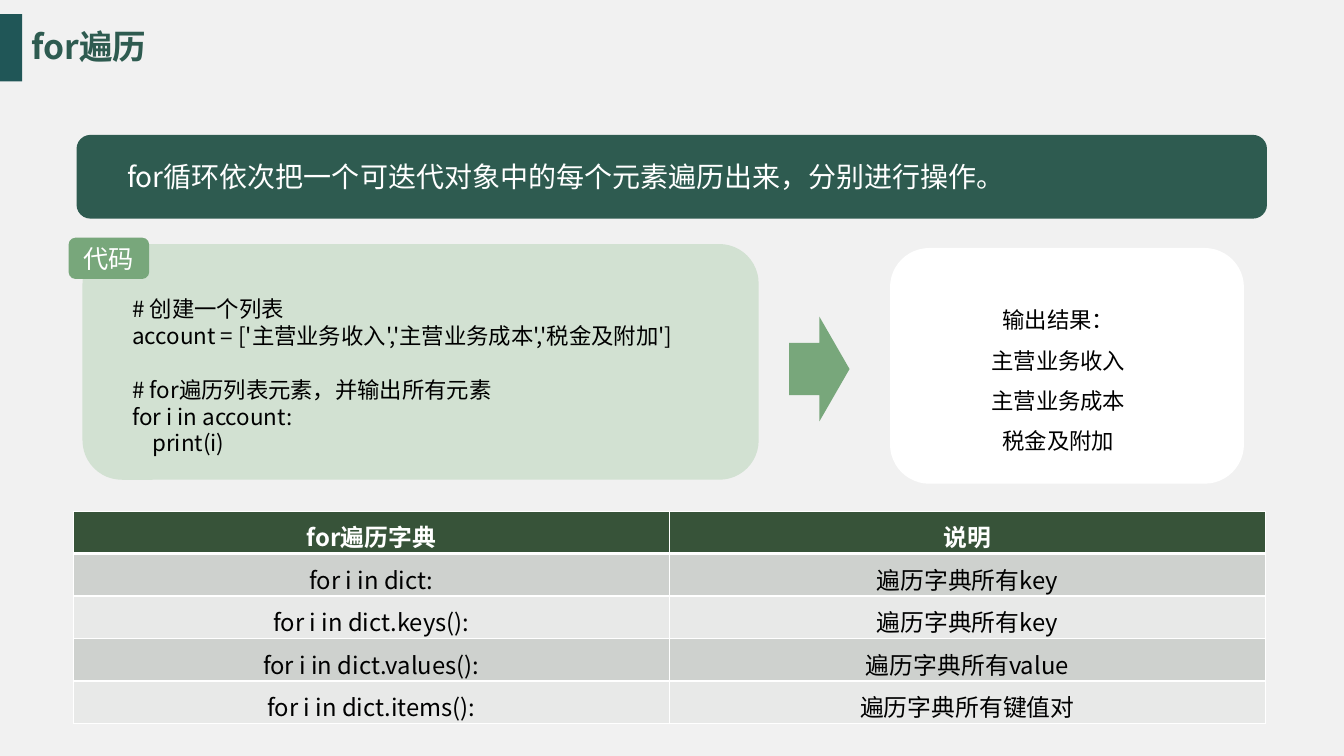
from lxml import etree
from pptx import Presentation
from pptx.dml.color import RGBColor
from pptx.enum.shapes import MSO_SHAPE
from pptx.enum.text import MSO_ANCHOR, PP_ALIGN
from pptx.oxml.ns import qn
from pptx.util import Cm, Pt

FONT = "Noto Sans CJK SC"
WHITE = RGBColor(0xFF, 0xFF, 0xFF)
BLACK = RGBColor(0x00, 0x00, 0x00)
PAPER = RGBColor(0xF1, 0xF1, 0xF1)
TEAL = RGBColor(0x20, 0x56, 0x57)
PINE = RGBColor(0x2E, 0x5B, 0x50)
MINT = RGBColor(0xD2, 0xE1, 0xD2)
LEAF = RGBColor(0x78, 0xA7, 0x7B)
HEADER = RGBColor(0x37, 0x53, 0x39)
BAND_DARK = RGBColor(0xCE, 0xD1, 0xCE)
BAND_LIGHT = RGBColor(0xE8, 0xE9, 0xE8)


def write(text, frame, size, color=BLACK, bold=False, align=PP_ALIGN.LEFT,
          anchor=MSO_ANCHOR.MIDDLE, left=0, top=0, right=0, leading=None):
    frame.word_wrap = True
    frame.vertical_anchor = anchor
    frame.margin_left, frame.margin_top = Cm(left), Cm(top)
    frame.margin_right, frame.margin_bottom = Cm(right), 0
    gap = 0
    for line in text.split("\n"):
        if not line:
            gap = leading
            continue
        first = not frame.paragraphs[0].runs
        paragraph = frame.paragraphs[0] if first else frame.add_paragraph()
        paragraph.alignment = align
        if leading:
            paragraph.line_spacing = Pt(leading)
        if gap:
            paragraph.space_before = Pt(gap)
            gap = 0
        run = paragraph.add_run()
        run.text = line
        run.font.name, run.font.size, run.font.bold = FONT, Pt(size), bold
        run.font.color.rgb = color
        etree.SubElement(run.font._element, qn("a:ea"), typeface=FONT)


def add_block(kind, left, top, width, height, color):
    block = slide.shapes.add_shape(kind, Cm(left), Cm(top), Cm(width), Cm(height))
    block.shadow.inherit = False
    block.fill.solid()
    block.fill.fore_color.rgb = color
    block.line.fill.background()
    return block.text_frame


prs = Presentation()
prs.slide_width, prs.slide_height = Cm(33.87), Cm(19.05)
slide = prs.slides.add_slide(prs.slide_layouts[6])
slide.background.fill.solid()
slide.background.fill.fore_color.rgb = PAPER

add_block(MSO_SHAPE.RECTANGLE, 0, 0.36, 0.56, 1.69, TEAL)
title = slide.shapes.add_textbox(Cm(0.79), Cm(0.61), Cm(3.05), Cm(1.09))
write("for遍历", title.text_frame, 24, color=PINE, bold=True,
      anchor=MSO_ANCHOR.TOP, top=0.03, leading=29.3)

ROUNDED = MSO_SHAPE.ROUNDED_RECTANGLE
banner = add_block(ROUNDED, 1.93, 3.4, 30, 2.11, PINE)
write("for循环依次把一个可迭代对象中的每个元素遍历出来，分别进行操作。",
      banner, 20, color=WHITE, left=1.17)

code = add_block(ROUNDED, 2.08, 6.15, 17.04, 5.94, MINT)
write("""# 创建一个列表
account = ['主营业务收入','主营业务成本','税金及附加']

# for遍历列表元素，并输出所有元素
for i in account:
    print(i)""", code, 16, anchor=MSO_ANCHOR.TOP, left=0.97, top=1, leading=19.2)

code_label = add_block(ROUNDED, 1.73, 5.99, 2.03, 1.04, LEAF)
write("代码", code_label, 18, color=WHITE, align=PP_ALIGN.CENTER)

result = add_block(ROUNDED, 22.43, 6.25, 8.92, 5.94, WHITE)
write("输出结果：\n主营业务收入\n主营业务成本\n税金及附加", result, 16,
      align=PP_ALIGN.CENTER, anchor=MSO_ANCHOR.TOP, top=0.85, right=0.43,
      leading=28.7)

add_block(MSO_SHAPE.RIGHT_ARROW, 19.89, 7.98, 1.52, 2.64, LEAF)

loops = [
    ("for遍历字典", "说明"),
    ("for i in dict:", "遍历字典所有key"),
    ("for i in dict.keys():", "遍历字典所有key"),
    ("for i in dict.values():", "遍历字典所有value"),
    ("for i in dict.items():", "遍历字典所有键值对"),
]
loop_table = slide.shapes.add_table(len(loops), 2, Cm(1.85), Cm(12.88),
                                    Cm(30.04), Cm(5.35)).table
for column in loop_table.columns:
    column.width = Cm(15.02)
for r, entries in enumerate(loops):
    loop_table.rows[r].height = Cm(1.07)
    heading = r == 0
    for c, entry in enumerate(entries):
        cell = loop_table.cell(r, c)
        write(entry, cell.text_frame, 17, color=WHITE if heading else BLACK,
              bold=heading, align=PP_ALIGN.CENTER)
        cell.vertical_anchor = MSO_ANCHOR.MIDDLE
        cell.margin_left = cell.margin_right = cell.margin_bottom = 0
        cell.margin_top = Cm(0.2)
        properties = cell._tc.get_or_add_tcPr()
        for side in ("lnL", "lnR", "lnT", "lnB"):
            thick = (r, side) in ((0, "lnB"), (1, "lnT"))
            border = etree.SubElement(properties, qn(f"a:{side}"),
                                      w=str(Pt(3 if thick else 1)))
            paint = etree.SubElement(border, qn("a:solidFill"))
            etree.SubElement(paint, qn("a:srgbClr"), val=str(WHITE))
        cell.fill.solid()
        cell.fill.fore_color.rgb = HEADER if heading else (BAND_LIGHT, BAND_DARK)[r % 2]

prs.save("out.pptx")
